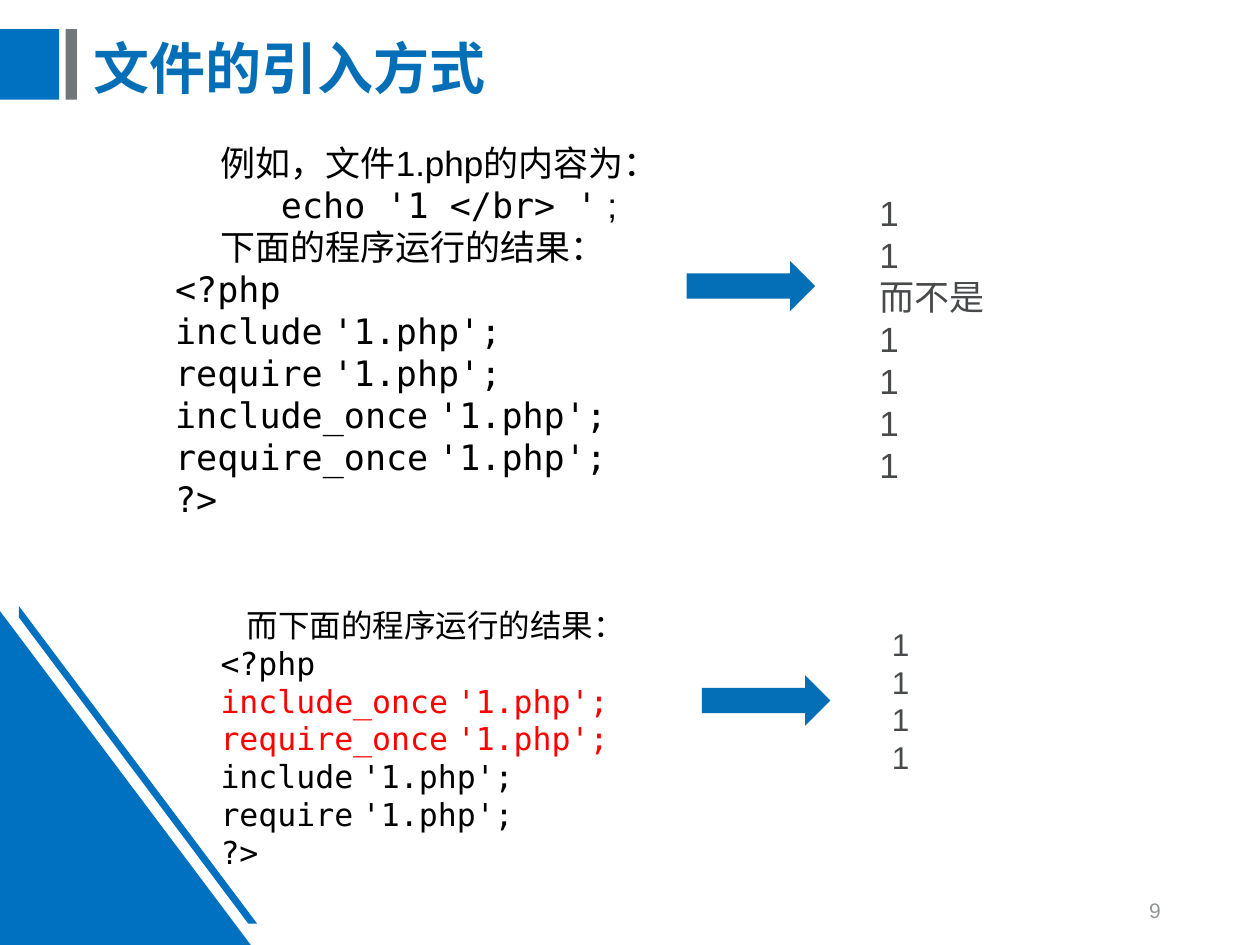
from dataclasses import dataclass
from lxml import etree
from pptx import Presentation
from pptx.dml.color import RGBColor
from pptx.enum.shapes import MSO_SHAPE
from pptx.enum.text import MSO_ANCHOR, PP_ALIGN
from pptx.oxml.ns import qn
from pptx.util import Inches, Pt

RECT, TRIANGLE, ARROW = MSO_SHAPE.RECTANGLE, MSO_SHAPE.RIGHT_TRIANGLE, MSO_SHAPE.RIGHT_ARROW
TOP, MIDDLE = MSO_ANCHOR.TOP, MSO_ANCHOR.MIDDLE
LEFT, RIGHT = PP_ALIGN.LEFT, PP_ALIGN.RIGHT
SANS, MONO, CJK = "Arial", "DejaVu Sans Mono", "Noto Sans CJK SC"
COLORS = {"brand": "0070C0", "accent": "046FB6", "bar": "73777A", "panel": "FFFFFF",
          "ink": "000000", "alert": "FF0000", "result": "47494B", "number": "949596"}
WIDTH, HEIGHT = Inches(10), Inches(7.5)


@dataclass
class Box:
    """Edges and sizes in percent of the slide's width and height."""
    left: float
    top: float
    width: float
    height: float

    def emu(self) -> tuple:
        return (x(self.left), y(self.top), x(self.width), y(self.height))


@dataclass
class Line:
    text: str
    font: str = SANS
    color: str = "ink"
    indent: float = 0


@dataclass
class Example:
    panel: Box
    arrow: Box
    result: Box
    size: int
    lines: list
    output: list


def x(share: float) -> int:
    return round(WIDTH * share / 100)


def y(share: float) -> int:
    return round(HEIGHT * share / 100)


def rgb(name: str) -> RGBColor:
    return RGBColor.from_string(COLORS[name])


def paint(sp, color: str) -> None:
    sp.shadow.inherit = False
    sp.fill.solid()
    sp.fill.fore_color.rgb = rgb(color)
    sp.line.fill.background()


def add_block(s, kind, box: Box, color: str):
    sp = s.shapes.add_shape(kind, *box.emu())
    paint(sp, color)
    return sp


def format_paragraph(p, font: str, size: int, color: str, align=LEFT) -> None:
    p.alignment = align
    p.font.name, p.font.size = font, Pt(size)
    p.font.color.rgb = rgb(color)
    props = p._p.get_or_add_pPr().find(qn("a:defRPr"))
    etree.SubElement(props, qn("a:ea")).set("typeface", CJK)


def write(tf, lines: list, size: int, anchor=TOP, align=LEFT) -> None:
    tf.word_wrap = True
    tf.vertical_anchor = anchor
    for i, line in enumerate(lines):
        p = tf.paragraphs[0] if i == 0 else tf.add_paragraph()
        format_paragraph(p, line.font, size, line.color, align)
        if line.indent:
            p._p.get_or_add_pPr().set("indent", str(x(line.indent)))
        if line.font == MONO and "|" in line.text:
            before, after = line.text.split("|")
            p.add_run().text = before
            gap = p.add_run()
            gap.text = " "
            gap.font.name = SANS
            r = p.add_run()
            r.text = after
            if after == ";":
                r.font.name = SANS
        else:
            p.text = line.text


def code(text: str, color: str = "ink", indent: float = 0) -> Line:
    return Line(text, MONO, color, indent)


def call(keyword: str, color: str = "ink") -> Line:
    return code(f"{keyword}|'1.php';", color)


def add_text(s, box: Box, lines: list, size: int, anchor=TOP, align=LEFT) -> None:
    write(s.shapes.add_textbox(*box.emu()).text_frame, lines, size, anchor, align)


def add_example(s, example: Example) -> None:
    tf = add_block(s, RECT, example.panel, "panel").text_frame
    tf.margin_left = tf.margin_right = tf.margin_top = tf.margin_bottom = 0
    write(tf, example.lines, example.size, MIDDLE)
    add_block(s, ARROW, example.arrow, "accent")
    add_text(s, example.result, [Line(t, color="result") for t in example.output], example.size)


def add_decoration(s) -> None:
    add_block(s, RECT, Box(0, 3.07, 4.7, 7.47), "brand")
    add_block(s, RECT, Box(5.2, 3.07, 0.9, 7.47), "bar")
    add_block(s, TRIANGLE, Box(0, 64.67, 19.9, 35.33), "brand")
    corners = [(1.5, 64.13), (20.4, 97.73), (19.7, 97.73), (1.5, 65.33)]
    start, *rest = [(x(a), y(b)) for a, b in corners]
    stripe = s.shapes.build_freeform(*start)
    stripe.add_line_segments(rest, close=True)
    paint(stripe.convert_to_shape(), "brand")


def add_title(s, text: str) -> None:
    sp = s.shapes.title
    sp.left, sp.top, sp.width, sp.height = Box(6.4, 0, 75.1, 15.2).emu()
    write(sp.text_frame, [Line(text, CJK, "accent")], 32, MIDDLE)
    p = sp.text_frame.paragraphs[0]
    p.font.bold = True
    p.line_spacing = 0.9


EXAMPLES = [
    Example(Box(13.9, 14.93, 74.3, 40), Box(54.5, 27.6, 10.2, 5.33),
            Box(68.8, 19.6, 17.8, 32.53), 20,
            [Line("例如，文件1.php的内容为：", indent=3.6),
             code("echo '1 </br> '|;", indent=8.4),
             Line("下面的程序运行的结果：", indent=3.6),
             code("<?php"), call("include"), call("require"),
             call("include_once"), call("require_once"), code("?>")],
            ["1", "1\n而不是\n1", "1", "1", "1"]),
    Example(Box(17.5, 64.13, 71.9, 28), Box(55.7, 71.47, 10.2, 5.33),
            Box(69.8, 65.47, 17.7, 17.33), 18,
            [Line("而下面的程序运行的结果：", indent=2.1),
             code("<?php"), call("include_once", "alert"), call("require_once", "alert"),
             call("include"), call("require"), code("?>")],
            ["1"] * 4),
]


def main() -> None:
    prs = Presentation()
    prs.slide_width, prs.slide_height = WIDTH, HEIGHT
    s = prs.slides.add_slide(prs.slide_layouts[5])
    add_decoration(s)
    add_title(s, "文件的引入方式")
    add_text(s, Box(70.6, 93.6, 22.5, 5.33), [Line("9", color="number")], 12, MIDDLE, RIGHT)
    for example in EXAMPLES:
        add_example(s, example)
    prs.save("out.pptx")


if __name__ == "__main__":
    main()
